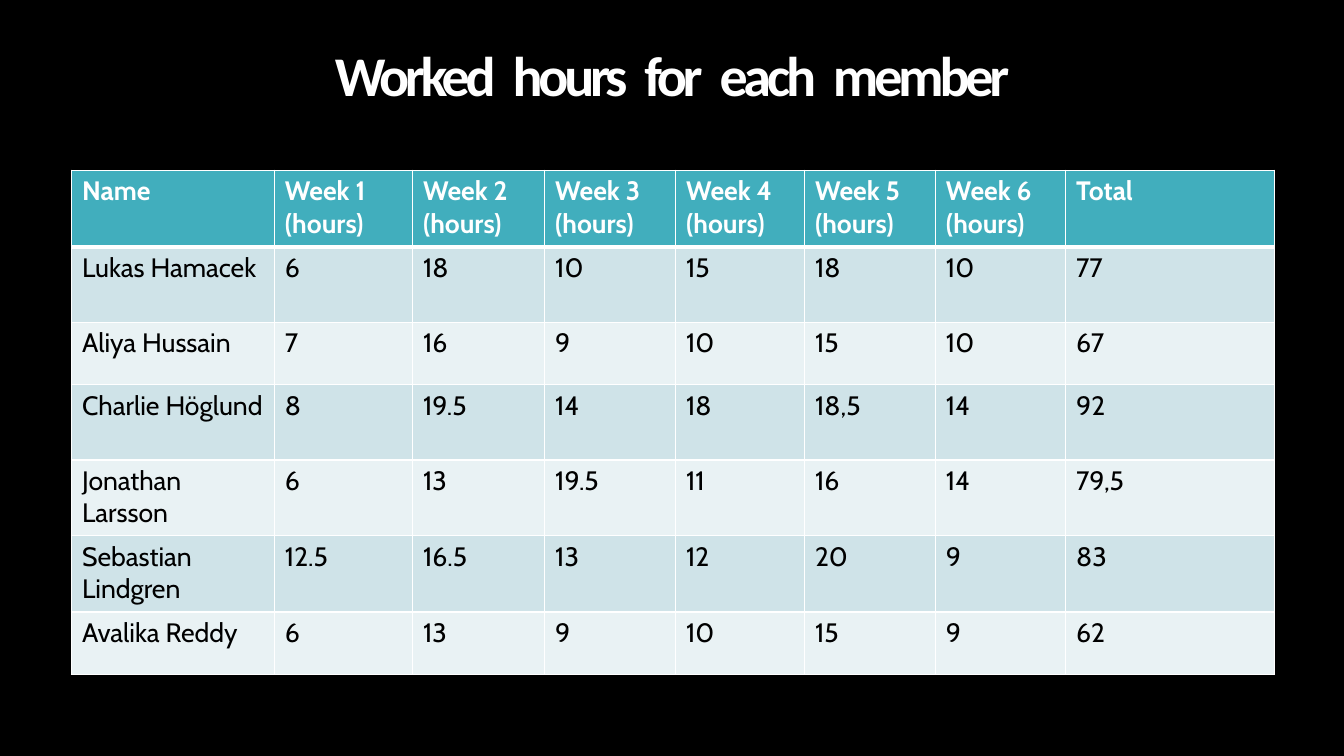
from lxml.etree import SubElement
from pptx import Presentation
from pptx.dml.color import RGBColor
from pptx.enum.text import MSO_ANCHOR, PP_ALIGN
from pptx.oxml.ns import qn
from pptx.util import Cm, Pt

WHITE, BLACK, TEAL = "FFFFFF", "000000", "41AEBD"
BANDS = ["CFE3E8", "E9F2F4"]
WIDTHS = [5.11, 3.48, 3.33, 3.3, 3.25, 3.3, 3.28, 5.26]
HEIGHTS = [1.93, 1.9, 1.57, 1.9, 1.9, 1.93, 1.57]
HEAD = ["Name", *(f"Week {week} (hours)" for week in range(1, 7)), "Total"]
HOURS = [
    ["Lukas Hamacek", "6", "18", "10", "15", "18", "10", "77"],
    ["Aliya Hussain", "7", "16", "9", "10", "15", "10", "67"],
    ["Charlie Höglund", "8", "19.5", "14", "18", "18,5", "14", "92"],
    ["Jonathan Larsson", "6", "13", "19.5", "11", "16", "14", "79,5"],
    ["Sebastian Lindgren", "12.5", "16.5", "13", "12", "20", "9", "83"],
    ["Avalika Reddy", "6", "13", "9", "10", "15", "9", "62"],
]


def paint(fill, color):
    fill.solid()
    fill.fore_color.rgb = RGBColor.from_string(color)


def add_run(para, text, font, size, color, bold):
    run = para.add_run()
    run.text = text
    run.font.name, run.font.size, run.font.bold = font, Pt(size), bold
    paint(run.font.fill, color)
    return run


def add_title(slide, left, top, width, height):
    frame = slide.shapes.add_textbox(left, top, width, height).text_frame
    frame.vertical_anchor = MSO_ANCHOR.TOP
    frame.word_wrap = True
    para = frame.paragraphs[0]
    para.alignment, para.line_spacing = PP_ALIGN.CENTER, 0.9
    for num, word in enumerate("Worked hours for each member".split()):
        # Letters sit tight, while the gaps between words are widened
        parts = [(" ", 3), (word, -3)] if num else [(word, -3)]
        for text, gap in parts:
            run = add_run(para, text, "Calibri", 40, WHITE, True)
            run.font._element.set("spc", str(gap * 100))


def add_borders(cell, top, bottom):
    """Draw white cell borders, with the top and bottom widths in points."""
    props = cell._tc.get_or_add_tcPr()
    sides = {"a:lnL": 1, "a:lnR": 1, "a:lnT": top, "a:lnB": bottom}
    for place, (side, width) in enumerate(sides.items()):
        line = SubElement(props, qn(side), w=str(Pt(width)))
        SubElement(SubElement(line, qn("a:solidFill")), qn("a:srgbClr"), val=WHITE)
        props.insert(place, line)


def add_hours(slide, left, top):
    rows = [HEAD, *HOURS]
    width, height = Cm(sum(WIDTHS)), Cm(sum(HEIGHTS))
    table = slide.shapes.add_table(
        len(rows), len(HEAD), left, top, width, height).table
    for col, size in zip(table.columns, WIDTHS):
        col.width = Cm(size)
    for row, size in zip(table.rows, HEIGHTS):
        row.height = Cm(size)
    for y, texts in enumerate(rows):
        head = y == 0
        for x, text in enumerate(texts):
            cell = table.cell(y, x)
            cell.margin_left = cell.margin_right = Cm(0.27)
            cell.margin_top = cell.margin_bottom = Cm(0.13)
            paint(cell.fill, TEAL if head else BANDS[(y - 1) % 2])
            add_borders(cell, 3 if y == 1 else 1, 3 if head else 1)
            add_run(cell.text_frame.paragraphs[0], text, "Cabin", 19,
                    WHITE if head else BLACK, head)


def main():
    deck = Presentation()
    deck.slide_width, deck.slide_height = Cm(33.87), Cm(19.05)
    slide = deck.slides.add_slide(deck.slide_layouts[6])
    paint(slide.background.fill, BLACK)
    add_title(slide, 0, Cm(1.09), deck.slide_width, Cm(2.67))
    add_hours(slide, Cm(1.8), Cm(4.29))
    deck.save("out.pptx")


if __name__ == "__main__":
    main()
